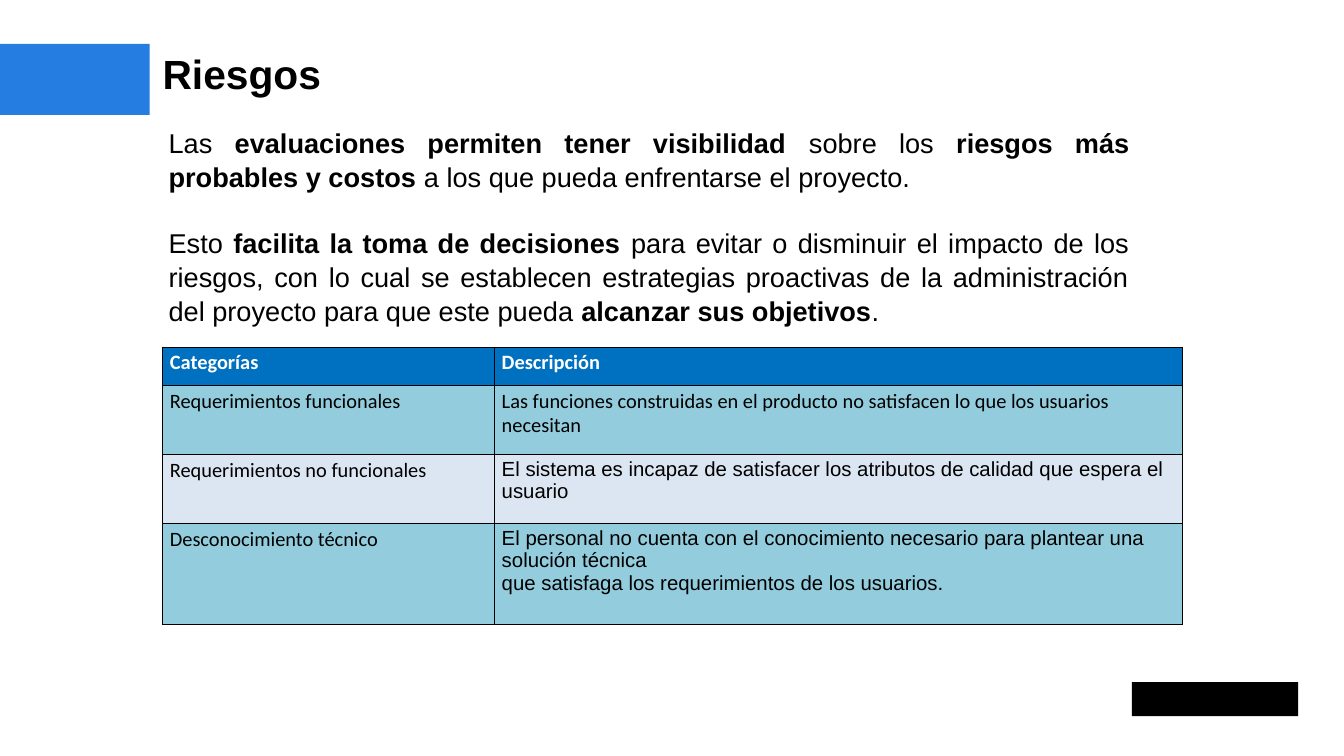
from lxml import etree
from pptx import Presentation
from pptx.dml.color import RGBColor
from pptx.enum.shapes import MSO_SHAPE
from pptx.enum.text import MSO_ANCHOR, PP_ALIGN
from pptx.oxml.ns import qn
from pptx.util import Inches, Pt

RECT = MSO_SHAPE.RECTANGLE
BOTTOM = MSO_ANCHOR.BOTTOM
JUSTIFY = PP_ALIGN.JUSTIFY

BLACK, WHITE = "000000", "FFFFFF"
BLUE, HEAD, TEAL, PALE = "257CE1", "0070C0", "93CDDD", "DCE6F2"

# Each paragraph is a list of (text, bold) runs
BODY = [
    [("Las ", False),
     ("evaluaciones permiten tener visibilidad ", True),
     ("sobre los ", False),
     ("riesgos más probables y costos", True),
     (" a los que pueda enfrentarse el proyecto. ", False)],
    [("Esto ", False),
     ("facilita la toma de decisiones ", True),
     ("para evitar o disminuir el impacto de los riesgos, con lo cual se "
      "establecen estrategias proactivas de la administración del proyecto "
      "para que este pueda ", False),
     ("alcanzar sus objetivos", True),
     (".", False)],
]

# Category, description, description font, row height
RISKS = [
    ("Categorías", "Descripción", "Calibri", 0.63),
    ("Requerimientos funcionales",
     "Las funciones construidas en el producto no satisfacen lo que los "
     "usuarios necesitan", "Calibri", 1.13),
    ("Requerimientos no funcionales",
     "El sistema es incapaz de satisfacer los atributos de calidad que "
     "espera el usuario", "Arial", 1.13),
    ("Desconocimiento técnico",
     "El personal no cuenta con el conocimiento necesario para plantear una "
     "solución técnica\n"
     "que satisfaga los requerimientos de los usuarios.", "Arial", 1.64),
]
COLS = (5.43, 11.26)


def color(code):
    return RGBColor.from_string(code)


def style(font, name, size, code, bold=None):
    font.name, font.size, font.bold = name, Pt(size), bold
    font.color.rgb = color(code)


def add_bar(slide, box, code):
    bar = slide.shapes.add_shape(RECT, *map(Inches, box))
    bar.shadow.inherit = False
    bar.fill.solid()
    bar.fill.fore_color.rgb = color(code)
    bar.line.fill.background()


def add_frame(slide, box, side, top, base):
    frame = slide.shapes.add_textbox(*map(Inches, box)).text_frame
    frame.word_wrap = True
    frame.margin_left = frame.margin_right = Inches(side)
    frame.margin_top, frame.margin_bottom = Inches(top), Inches(base)
    return frame


def add_title(slide, box, text):
    frame = add_frame(slide, box, 0, 0, 0)
    frame.vertical_anchor = BOTTOM
    para = frame.paragraphs[0]
    para.text = text
    style(para.font, "Arial", 48, BLACK, True)


def add_body(slide, box, paras):
    frame = add_frame(slide, box, 0.1, 0.35, 0.05)
    for i, runs in enumerate(paras):
        para = frame.add_paragraph() if i else frame.paragraphs[0]
        para.alignment = JUSTIFY
        para.line_spacing = 1.04
        para.space_before = Pt(38.4 if i else 0)
        style(para.font, "Arial", 32, BLACK)
        for text, bold in runs:
            run = para.add_run()
            run.text = text
            run.font.bold = bold


def add_edges(cell):
    # Borders come before the fill in the cell properties
    props = cell._tc.get_or_add_tcPr()
    for i, side in enumerate(("a:lnL", "a:lnR", "a:lnT", "a:lnB")):
        line = etree.Element(qn(side), w=str(Pt(1)))
        fill = etree.SubElement(line, qn("a:solidFill"))
        etree.SubElement(fill, qn("a:srgbClr"), val=BLACK)
        props.insert(i, line)


def fill_cell(cell, text, font, back, head):
    cell.margin_left = cell.margin_right = Inches(0.12)
    cell.fill.solid()
    cell.fill.fore_color.rgb = color(back)
    cell.text = text
    for para in cell.text_frame.paragraphs:
        style(para.font, font, 24, WHITE if head else BLACK, head)
    add_edges(cell)


def add_risks(slide, box, risks):
    shape = slide.shapes.add_table(len(risks), len(COLS), *map(Inches, box))
    table = shape.table
    for col, width in zip(table.columns, COLS):
        col.width = Inches(width)
    for r, (name, text, font, height) in enumerate(risks):
        table.rows[r].height = Inches(height)
        back = HEAD if r == 0 else TEAL if r % 2 else PALE
        fill_cell(table.cell(r, 0), name, "Calibri", back, r == 0)
        fill_cell(table.cell(r, 1), text, font, back, r == 0)


def main():
    deck = Presentation()
    deck.slide_width, deck.slide_height = Inches(21.99), Inches(12.37)
    slide = deck.slides.add_slide(deck.slide_layouts[6])
    left = 2.66

    # Accent bar and plain mark in the corner
    add_bar(slide, (0, 0.72, 2.45, 1.16), BLUE)
    add_bar(slide, (18.52, 11.16, 2.72, 0.56), BLACK)

    # Title, text and table
    add_title(slide, (left, 0.78, 18.58, 0.81), "Riesgos")
    add_body(slide, (left, 1.69, 15.92, 3.6), BODY)
    add_risks(slide, (left, 5.68, sum(COLS), 4.53), RISKS)

    deck.save("out.pptx")


if __name__ == "__main__":
    main()
